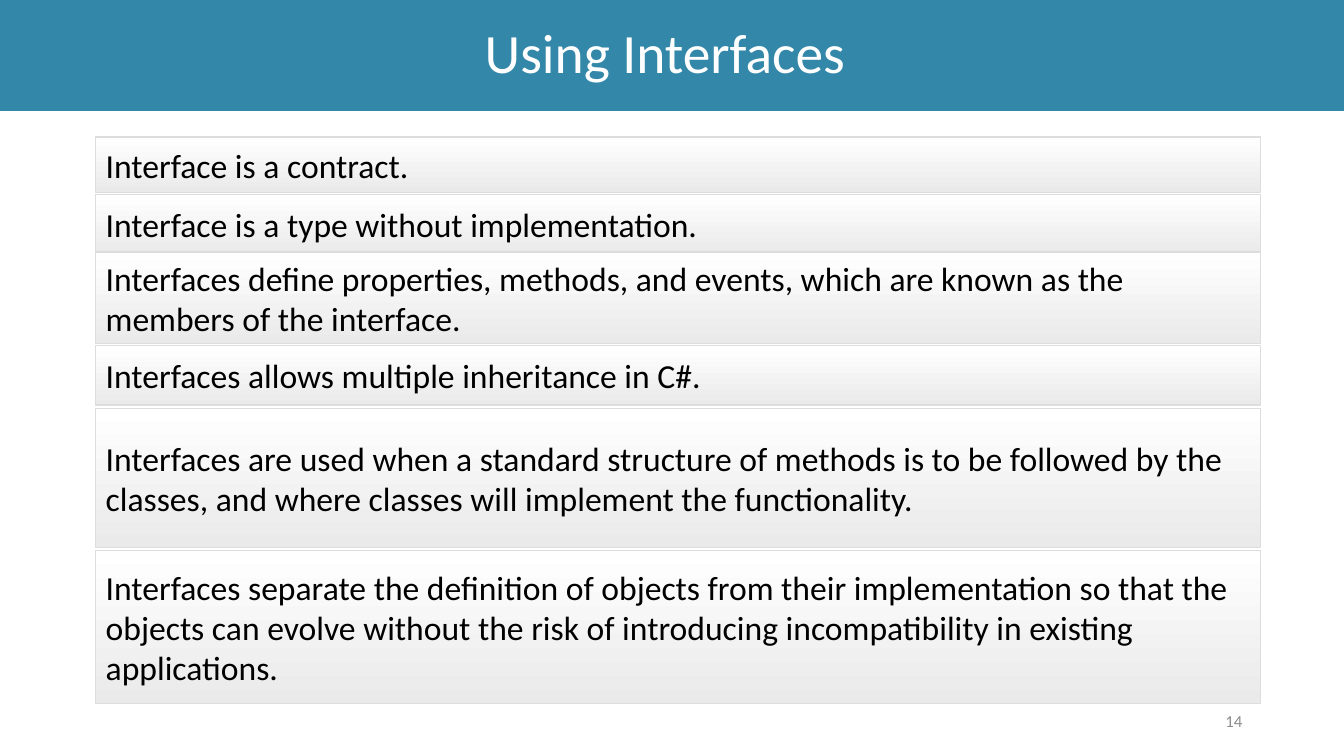
import pptx
import pptx.util
import pptx.dml.color
import pptx.enum.shapes
import pptx.enum.text

Inches = pptx.util.Inches
Pt = pptx.util.Pt
RGBColor = pptx.dml.color.RGBColor
Align = pptx.enum.text.PP_ALIGN
Anchor = pptx.enum.text.MSO_ANCHOR

# Content: top, height, text of each bar
TITLE = "Using Interfaces"
NUMBER = "14"
BARS = [
    (1.36, 0.55, "Interface is a contract."),
    (1.93, 0.59, "Interface is a type without implementation."),
    (2.5, 0.91, "Interfaces define properties, methods, and events, which are "
                "known as the members of the interface."),
    (3.43, 0.59, "Interfaces allows multiple inheritance in C#."),
    (4.05, 1.38, "Interfaces are used when a standard structure of methods is "
                 "to be followed by the classes, and where classes will "
                 "implement the functionality."),
    (5.46, 1.52, "Interfaces separate the definition of objects from their "
                 "implementation so that the objects can evolve without the "
                 "risk of introducing incompatibility in existing "
                 "applications."),
]
LEFT, WIDTH = 0.95, 11.55

FONT = "Calibri"
BLUE = RGBColor(0x33, 0x88, 0xA9)
WHITE = RGBColor(0xFF, 0xFF, 0xFF)
BLACK = RGBColor(0x00, 0x00, 0x00)
PALE = RGBColor(0xEA, 0xEA, 0xEA)
EDGE = RGBColor(0xDD, 0xDD, 0xDD)
GRAY = RGBColor(0x8C, 0x8C, 0x8C)


def place(shape, left, top, width, height):
    shape.left, shape.top = Inches(left), Inches(top)
    shape.width, shape.height = Inches(width), Inches(height)


def write(shape, text, size, color, align):
    frame = shape.text_frame
    frame.word_wrap = True
    frame.auto_size = pptx.enum.text.MSO_AUTO_SIZE.NONE
    frame.vertical_anchor = Anchor.MIDDLE
    frame.text = text
    para = frame.paragraphs[0]
    para.alignment = align
    para.font.name = FONT
    para.font.size = Pt(size)
    para.font.color.rgb = color
    return para


deck = pptx.Presentation()
deck.slide_width, deck.slide_height = Inches(13.33), Inches(7.5)
slide = deck.slides.add_slide(deck.slide_layouts[5])

# Title band
title = slide.shapes.title
place(title, 0, 0, 13.33, 1.1)
title.fill.solid()
title.fill.fore_color.rgb = BLUE
write(title, TITLE, 39.6, WHITE, Align.CENTER).line_spacing = 0.9
title.text_frame.margin_right = Inches(0.24)

# Slide number
number = slide.shapes.add_textbox(
    Inches(9.42), Inches(6.95), Inches(3), Inches(0.4))
write(number, NUMBER, 12, GRAY, Align.RIGHT)

# Statement bars
for top, height, text in BARS:
    bar = slide.shapes.add_shape(
        pptx.enum.shapes.MSO_SHAPE.RECTANGLE,
        Inches(LEFT), Inches(top), Inches(WIDTH), Inches(height))
    bar.shadow.inherit = False
    bar.fill.gradient()
    bar.fill.gradient_angle = 270
    for stop, color in zip(bar.fill.gradient_stops, (WHITE, PALE)):
        stop.color.rgb = color
    bar.line.color.rgb = EDGE
    bar.line.width = Pt(1)
    write(bar, text, 24, BLACK, Align.LEFT)

deck.save("out.pptx")
